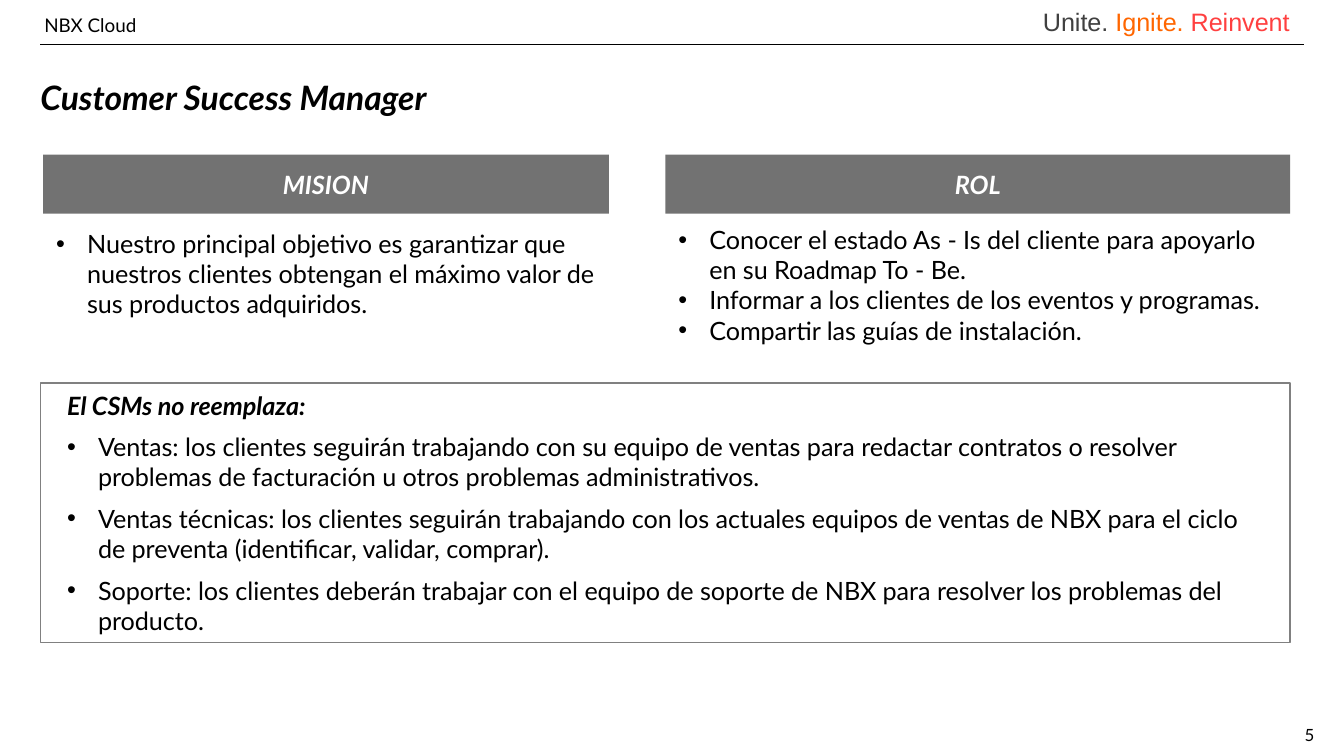
from lxml.etree import SubElement
from pptx import Presentation
from pptx.dml.color import RGBColor
from pptx.enum.shapes import MSO_CONNECTOR, MSO_SHAPE
from pptx.enum.text import MSO_ANCHOR, PP_ALIGN
from pptx.oxml.ns import qn
from pptx.util import Inches, Pt

THEME = {
    "font": "Lato", "tagline_font": "Arial",
    "ink": "000000", "light": "FFFFFF", "band": "727272", "border": "808080",
    "title": 18, "body": 13.5, "header": 10.1, "number": 9, "rule": 0.75,
}
HEADING = {"bold": True, "italic": True}

HEADER = "NBX Cloud"
TAGLINE = [("Unite. ", "404040"), ("Ignite. ", "FF6600"), ("Reinvent", "FF4040")]
TITLE = "Customer Success Manager"
PAGE_NUMBER = "5"
# heading, band (left, width), list (top, width, height), items
COLUMNS = [
    ("MISION", (0.32, 4.21), (1.65, 4.21, 0.78), [
        "Nuestro principal objetivo es garantizar que nuestros clientes obtengan "
        "el máximo valor de sus productos adquiridos.",
    ]),
    ("ROL", (4.95, 4.65), (1.62, 4.73, 1.01), [
        "Conocer el estado As - Is del cliente para apoyarlo en su Roadmap To - Be.",
        "Informar a los clientes de los eventos y programas.",
        "Compartir las guías de instalación.",
    ]),
]
LIMITS_HEADING = "El CSMs no reemplaza:"
LIMITS = [
    "Ventas: los clientes seguirán trabajando con su equipo de ventas para redactar "
    "contratos o resolver problemas de facturación u otros problemas administrativos.",
    "Ventas técnicas: los clientes seguirán trabajando con los actuales equipos de ventas "
    "de NBX para el ciclo de preventa (identificar, validar, comprar).",
    "Soporte: los clientes deberán trabajar con el equipo de soporte de NBX para resolver "
    "los problemas del producto.",
]


def color(key):
    return RGBColor.from_string(THEME.get(key, key))


def set_frame(box, margins, anchor=MSO_ANCHOR.MIDDLE):
    """Wrap the text, with margins given as (horizontal, vertical) inches."""
    frame = box.text_frame
    across, down = map(Inches, margins)
    values = {"word_wrap": True, "vertical_anchor": anchor,
              "margin_left": across, "margin_right": across,
              "margin_top": down, "margin_bottom": down}
    for name, value in values.items():
        setattr(frame, name, value)
    return frame


def add_textbox(page, place, margins, anchor=MSO_ANCHOR.MIDDLE):
    return set_frame(page.shapes.add_textbox(*map(Inches, place)), margins, anchor)


def add_rectangle(page, place, margins, fill=None, line=None):
    box = page.shapes.add_shape(MSO_SHAPE.RECTANGLE, *map(Inches, place))
    box.shadow.inherit = False
    if fill:
        box.fill.solid()
        box.fill.fore_color.rgb = color(fill)
    else:
        box.fill.background()
    if line:
        box.line.color.rgb = color(line)
        box.line.width = Pt(THEME["rule"])
    else:
        box.line.fill.background()
    return set_frame(box, margins)


def add_span(para, text, size="body", ink="ink", font="font", **styles):
    span = para.add_run()
    span.text = text
    span.font.color.rgb = color(ink)
    values = {"name": THEME[font], "size": Pt(THEME[size]), **styles}
    for name, value in values.items():
        setattr(span.font, name, value)


def add_para(frame, text, align=PP_ALIGN.LEFT, after=0, bullet=False, **styles):
    """Fill the first paragraph if it is empty, otherwise append one."""
    para = frame.paragraphs[0]
    if para.runs:
        para = frame.add_paragraph()
    para.alignment = align
    para.space_after = Pt(after)
    if bullet:
        properties = para._p.get_or_add_pPr()
        indent = Inches(0.23)
        properties.set("marL", str(indent))
        properties.set("indent", str(-indent))
        SubElement(properties, qn("a:buFont"), typeface="Arial")
        SubElement(properties, qn("a:buChar"), char="•")
    add_span(para, text, **styles)


def add_header(page):
    rule = page.shapes.add_connector(
        MSO_CONNECTOR.STRAIGHT, *map(Inches, (0.3, 0.33, 9.7, 0.33)))
    rule.line.color.rgb = color("ink")
    rule.line.width = Pt(THEME["rule"])
    SubElement(rule._element.spPr, qn("a:effectLst"))
    add_para(add_textbox(page, (0.33, 0.1, 0.75, 0.17), (0, 0)), HEADER, size="header")
    tagline = add_textbox(page, (7.69, 0.02, 2.07, 0.3), (0.07, 0.03), MSO_ANCHOR.TOP)
    for text, ink in TAGLINE:
        add_span(tagline.paragraphs[0], text, ink=ink, font="tagline_font")


def add_columns(page):
    for heading, (left, width), (top, list_width, height), items in COLUMNS:
        band = add_rectangle(page, (left, 1.15, width, 0.44), (0, 0.04), fill="band")
        add_para(band, heading, PP_ALIGN.CENTER, ink="light", **HEADING)
        listing = add_textbox(page, (left, top, list_width, height),
                              (0.1, 0.05), MSO_ANCHOR.TOP)
        for item in items:
            add_para(listing, item, bullet=True)


def add_limits(page):
    frame = add_rectangle(page, (0.3, 2.85, 9.3, 1.93), (0.2, 0.15), line="border")
    add_para(frame, LIMITS_HEADING, after=6, **HEADING)
    for item in LIMITS:
        add_para(frame, item, after=6, bullet=True)


def main():
    deck = Presentation()
    deck.slide_width = Inches(10)
    deck.slide_height = deck.slide_width * 9 // 16
    page = deck.slides.add_slide(deck.slide_layouts[6])
    add_header(page)
    title = add_textbox(page, (0.3, 0.38, 9.4, 0.69), (0, 0.04))
    add_para(title, TITLE, size="title", **HEADING)
    add_columns(page)
    add_limits(page)
    number = add_textbox(page, (9.3, 5.29, 0.55, 0.36), (0.07, 0.04))
    add_para(number, PAGE_NUMBER, PP_ALIGN.RIGHT, size="number")
    deck.save("out.pptx")


if __name__ == "__main__":
    main()
